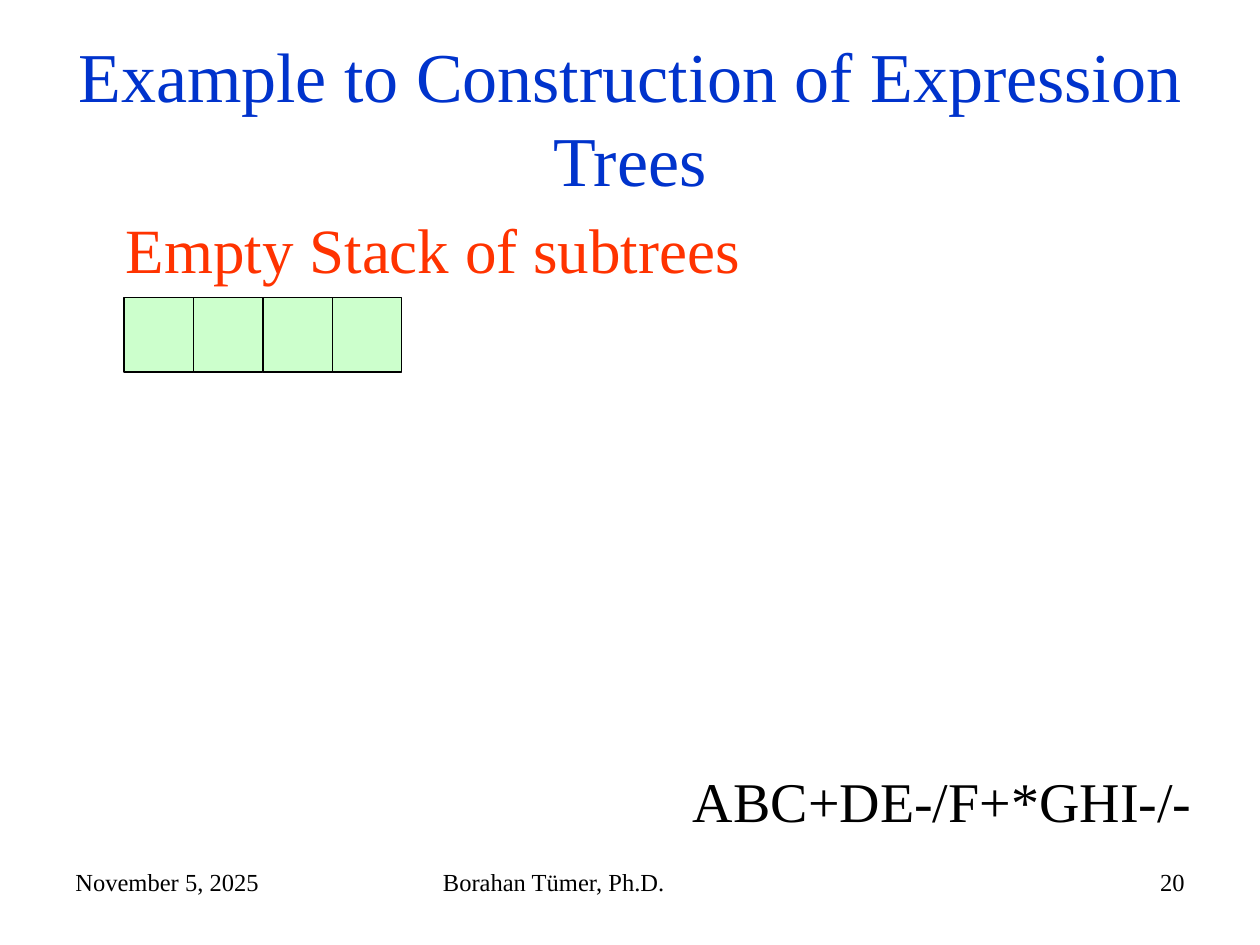
from pptx import Presentation
from pptx.dml.color import RGBColor
from pptx.enum.shapes import MSO_SHAPE
from pptx.enum.text import MSO_ANCHOR, PP_ALIGN
from pptx.util import Cm, Pt

RECTANGLE = MSO_SHAPE.RECTANGLE
MIDDLE, TOP = MSO_ANCHOR.MIDDLE, MSO_ANCHOR.TOP
LEFT, CENTER, RIGHT = PP_ALIGN.LEFT, PP_ALIGN.CENTER, PP_ALIGN.RIGHT
TITLE_ONLY = 5
FONT = "Times New Roman"
BLACK, BLUE, RED, GREEN = "000000", "0033CC", "FF3300", "CCFFCC"


def color(hex_value):
    """Turn a hex string into a colour."""
    return RGBColor.from_string(hex_value)


def write(frame, text, size, hex_value, align=LEFT, anchor=TOP, wrap=True):
    """Fill a text frame with one formatted run."""
    frame.word_wrap = wrap
    frame.vertical_anchor = anchor
    paragraph = frame.paragraphs[0]
    paragraph.alignment = align
    run = paragraph.add_run()
    run.text = text
    run.font.name = FONT
    run.font.size = Pt(size)
    run.font.color.rgb = color(hex_value)


def add_label(slide, box, text, size, hex_value, align=LEFT, wrap=True):
    """Add a text box at the given box in centimetres."""
    label = slide.shapes.add_textbox(*map(Cm, box))
    write(label.text_frame, text, size, hex_value, align, wrap=wrap)


def add_title(slide, box, text):
    """Place and fill the title placeholder."""
    title = slide.shapes.title
    title.left, title.top, title.width, title.height = map(Cm, box)
    write(title.text_frame, text, 40, BLUE, CENTER, MIDDLE)


def add_stack(slide, box, cell_count):
    """Draw a row of equal empty stack cells filling the box."""
    left, top, width, height = box
    cell_width = width / cell_count
    for index in range(cell_count):
        cell = slide.shapes.add_shape(
            RECTANGLE, Cm(left + index * cell_width), Cm(top), Cm(cell_width), Cm(height))
        cell.shadow.inherit = False
        cell.fill.solid()
        cell.fill.fore_color.rgb = color(GREEN)
        cell.line.color.rgb = color(BLACK)
        cell.line.width = Pt(0.75)


def add_footer(slide, box, date, author, number):
    """Place date, author and slide number along the footer box."""
    left, top, width, height = box
    side_width, author_width = 5.93, 8.04
    add_label(slide, (left, top, side_width, height), date, 14, BLACK)
    add_label(slide, (left + (width - author_width) / 2, top, author_width, height),
              author, 14, BLACK)
    add_label(slide, (left + width - side_width, top, side_width, height),
              number, 14, BLACK, RIGHT)


def main():
    """Build the slide and save it."""
    presentation = Presentation()
    presentation.slide_width, presentation.slide_height = Cm(25.4), Cm(19.05)
    slide = presentation.slides.add_slide(presentation.slide_layouts[TITLE_ONLY])
    add_footer(slide, (1.27, 17.36, 22.86, 1.32),
               "November 5, 2025", "Borahan Tümer, Ph.D.", "20")
    add_title(slide, (1.27, 0.76, 22.86, 3.18),
              "Example to Construction of Expression Trees")
    add_label(slide, (13.72, 15.32, 10.62, 1.6), "ABC+DE-/F+*GHI-/-", 32, BLACK)
    add_label(slide, (2.29, 4.11, 12.9, 1.78), "Empty Stack of subtrees", 36, RED, wrap=False)
    add_stack(slide, (2.5, 6, 5.6, 1.5), 4)
    presentation.save("out.pptx")


if __name__ == "__main__":
    main()
